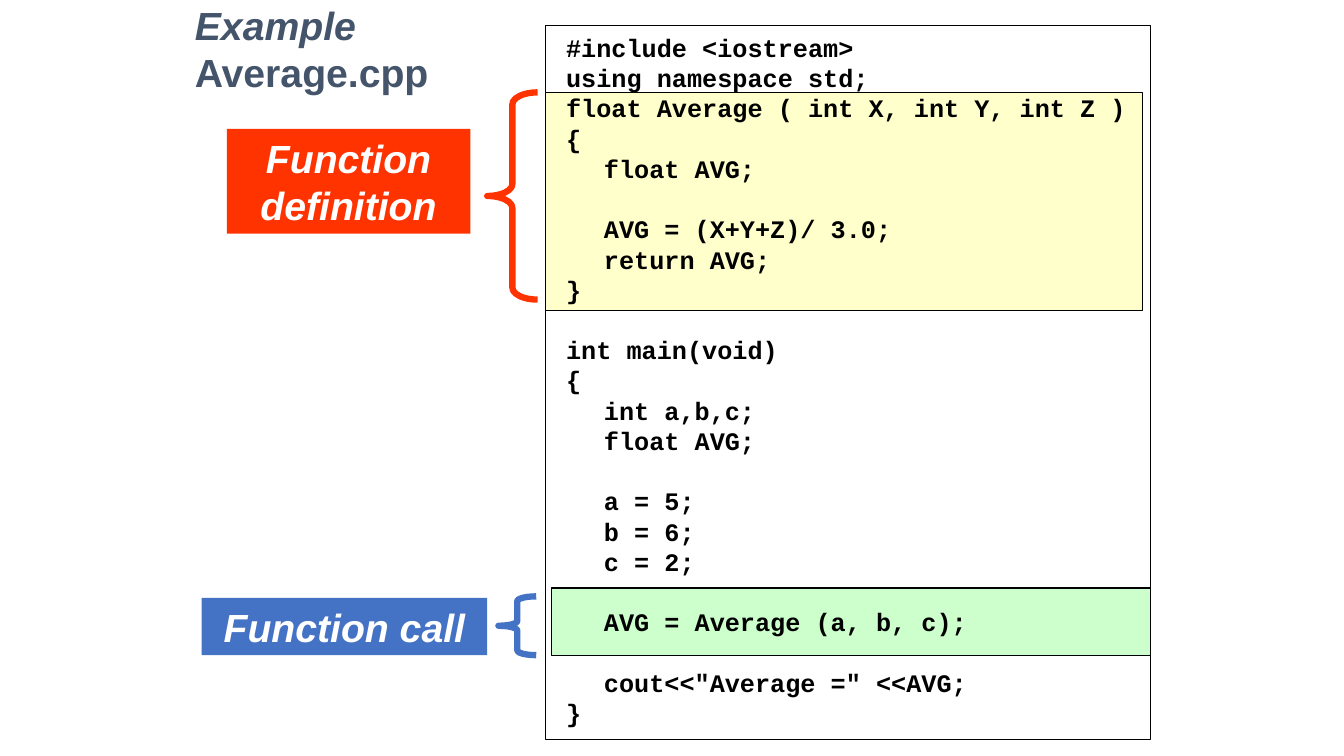
"""Build a slide that marks the function definition and the function call in a C++ program."""
from pptx import Presentation
from pptx.dml.color import RGBColor
from pptx.enum.shapes import MSO_SHAPE as Shape
from pptx.enum.text import MSO_ANCHOR as Anchor, MSO_AUTO_SIZE as AutoSize, PP_ALIGN as Align
from pptx.util import Pt


def write(para, text, size=28, font="Arial", color="FFFFFF", italic=False, align=Align.LEFT):
    span = para.add_run()
    span.text = text
    span.font.size, span.font.name = Pt(size), font
    span.font.bold, span.font.italic = True, italic
    span.font.color.rgb = RGBColor.from_string(color)
    para.alignment = align
    para.line_spacing = Pt(size * 1.2)


def draw(shapes, kind, place, fill=None, line=None, width=0.75):
    box = shapes.add_shape(kind, *[Pt(length) for length in place])
    box.shadow.inherit = False
    if fill:
        box.fill.solid()
        box.fill.fore_color.rgb = RGBColor.from_string(fill)
    else:
        box.fill.background()
    if line:
        box.line.color.rgb = RGBColor.from_string(line)
        box.line.width = Pt(width)
    else:
        box.line.fill.background()
    return box


deck = Presentation()
deck.slide_width, deck.slide_height = Pt(960), Pt(540)
page = deck.slides.add_slide(deck.slide_layouts[5])

title = page.shapes.title
title.left, title.top, title.width, title.height = Pt(132), Pt(36), Pt(240), Pt(36)
title.text_frame.auto_size = AutoSize.NONE
title.text_frame.vertical_anchor = Anchor.BOTTOM
heading = title.text_frame.paragraphs[0]
write(heading, "Example", color="44546A", italic=True)
heading.add_line_break()
write(heading, "Average.cpp", color="44546A")

callouts = [
    ("Function definition", "FF3300", (162, 92, 174, 75),
     (348, 66, 36, 148), 0.236, "FFFFCC", (390, 66, 426, 156)),
    ("Function call", "4472C4", (144, 427, 204, 41),
     (356, 426, 27, 42), 0.127, "CCFFCC", (394, 420, 428, 48)),
]
for text, color, label_place, brace_place, curve, tint, code_place in callouts:
    group = page.shapes.add_group_shape()
    draw(group.shapes, Shape.RECTANGLE, code_place, fill=tint, line="000000")
    brace = draw(group.shapes, Shape.LEFT_BRACE, brace_place, line=color, width=4.5)
    brace.adjustments[0] = curve
    label = draw(group.shapes, Shape.RECTANGLE, label_place, fill=color)
    label.text_frame.word_wrap = True
    label.text_frame.vertical_anchor = Anchor.MIDDLE
    write(label.text_frame.paragraphs[0], text, italic=True, align=Align.CENTER)

code_blocks = [
    ["#include <iostream>", "using namespace std;",
     "float Average ( int X, int Y, int Z )", "{", "\tfloat AVG;"],
    ["\tAVG = (X+Y+Z)/ 3.0;", "\treturn AVG;", "}"],
    ["int main(void)", "{", "\tint a,b,c;", "\tfloat AVG;"],
    ["\ta = 5;", "\tb = 6;", "\tc = 2;"],
    ["\tAVG = Average (a, b, c);"],
    ["\tcout<<\"Average =\" <<AVG;", "}"],
]
listing = draw(page.shapes, Shape.RECTANGLE, (390, 18, 432, 510), line="000000")
frame = listing.text_frame
frame.word_wrap = True
frame.vertical_anchor = Anchor.TOP
frame.margin_left, frame.margin_top = Pt(14.4), Pt(5)
para = frame.paragraphs[0]
for block_number, block in enumerate(code_blocks):
    for line_number, code_line in enumerate(block):
        if block_number or line_number:
            para = frame.add_paragraph()
        indent = para._p.get_or_add_pPr()
        indent.set("marL", str(Pt(27)))
        indent.set("indent", str(-Pt(27)))
        write(para, code_line, size=18, font="Courier New", color="000000")
        if block_number and not line_number:
            para.space_before = Pt(21.6)

deck.save("out.pptx")
